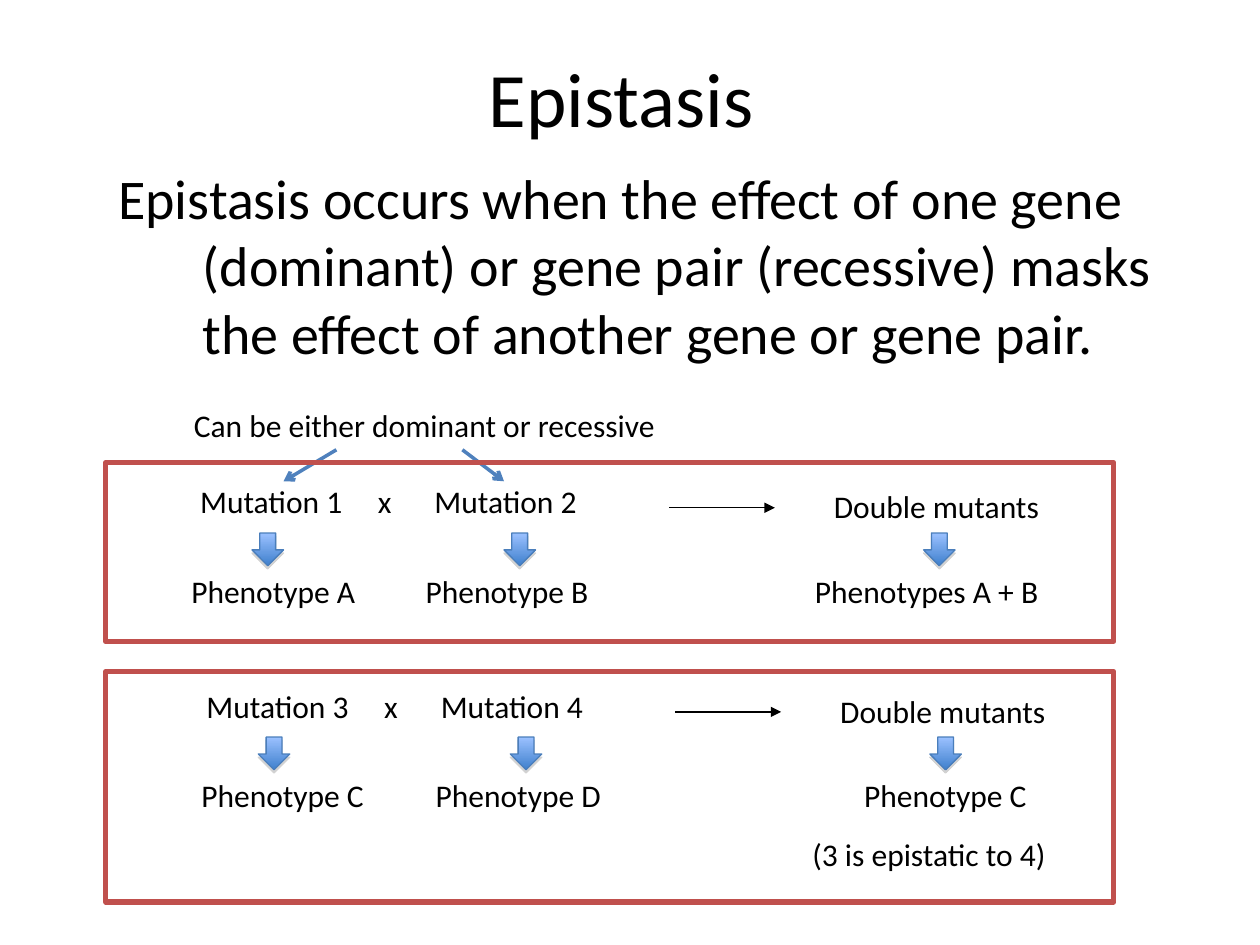
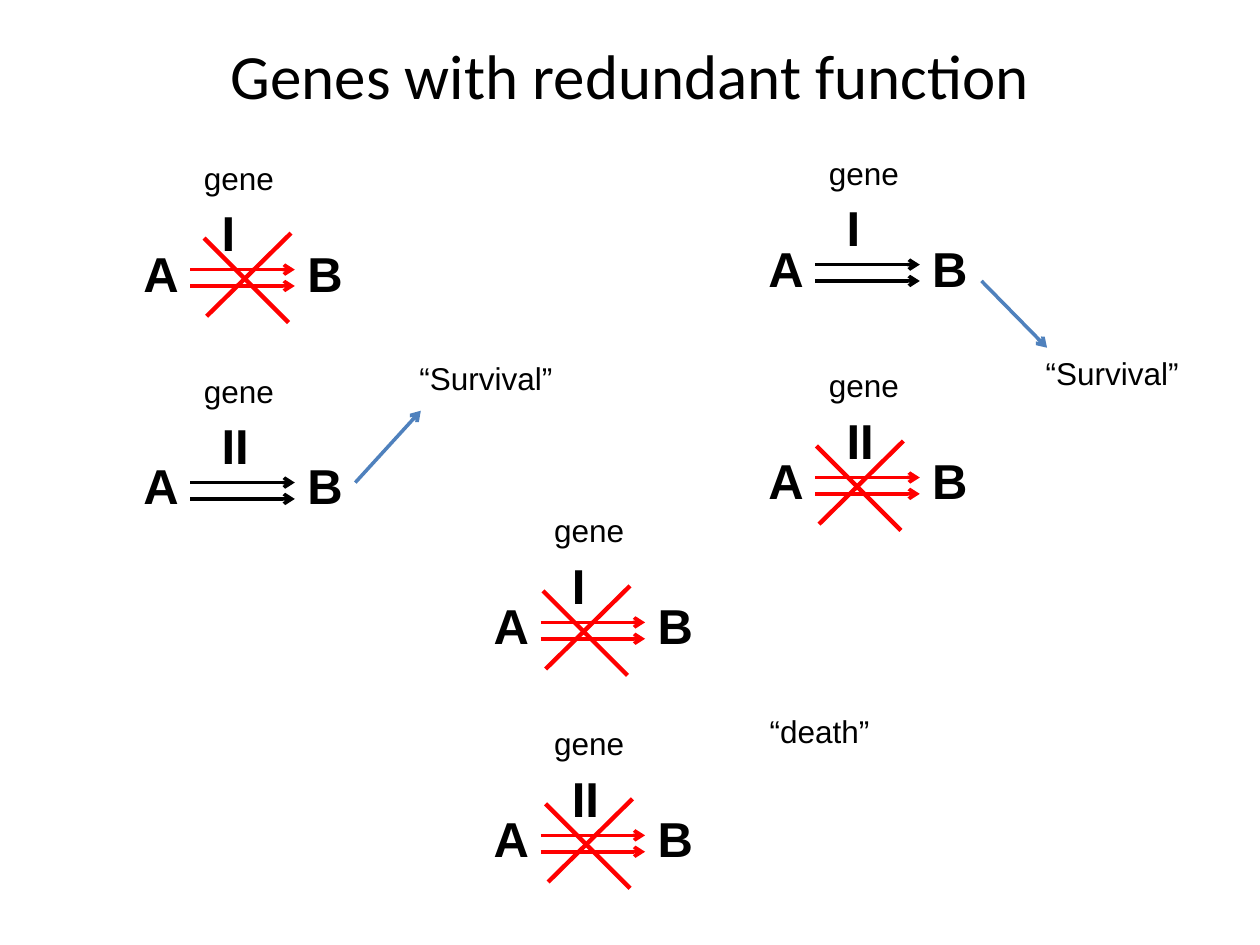
from lxml.etree import SubElement
from pptx import Presentation
from pptx.dml.color import RGBColor
from pptx.enum.shapes import MSO_CONNECTOR, MSO_SHAPE
from pptx.enum.text import MSO_ANCHOR, PP_ALIGN
from pptx.oxml.ns import qn
from pptx.util import Inches, Pt

COLS = 10
BLACK, RED, BLUE, BRICK = "000000", "FF0000", "4F81BD", "C0504D"
SANS, PLAIN = "Calibri", "Arial"


def tint(code):
    return RGBColor.from_string(code)


class Deck:
    """Hold the style, the grid of square cells and the current slide."""

    def __init__(self):
        self.show = Presentation()
        self.show.slide_width = Inches(10)
        self.show.slide_height = Inches(7.5)
        self.cell = self.show.slide_width / COLS

    def span(self, *cells):
        return [round(n * self.cell) for n in cells]

    def style(self, par, size, face, bold=False):
        font = par.font
        font.size, font.name, font.bold = Pt(size), face, bold
        font.color.rgb = tint(BLACK)

    def start(self, title, box, size):
        self.slide = self.show.slides.add_slide(self.show.slide_layouts[5])
        head = self.slide.shapes.title
        head.left, head.top, head.width, head.height = self.span(*box)
        frame = head.text_frame
        frame.text = title
        frame.vertical_anchor = MSO_ANCHOR.MIDDLE
        par = frame.paragraphs[0]
        par.alignment = PP_ALIGN.CENTER
        self.style(par, size, SANS)

    def text(self, words, x, y, wide, high=0.4, size=18, face=SANS,
             bold=False, tabs=(), hang=0):
        box = self.slide.shapes.add_textbox(*self.span(x, y, wide, high))
        frame = box.text_frame
        frame.word_wrap = True
        frame.margin_right = 0
        par = frame.paragraphs[0]
        par.text = words
        props = par._p.get_or_add_pPr()
        if hang:
            inset, = self.span(hang)
            props.set("marL", str(inset))
            props.set("indent", str(-inset))
        if tabs:
            stops = SubElement(props, qn("a:tabLst"))
            for pos in self.span(*tabs):
                SubElement(stops, qn("a:tab"), pos=str(pos), algn="l")
        self.style(par, size, face, bold)

    def line(self, x1, y1, x2, y2, color, width=2, tip=None):
        link = self.slide.shapes.add_connector(
            MSO_CONNECTOR.STRAIGHT, *self.span(x1, y1, x2, y2))
        link.line.color.rgb = tint(color)
        link.line.width = Pt(width)
        props = link.element.spPr
        if tip:
            SubElement(props.find(qn("a:ln")), qn("a:tailEnd"), type=tip)
        SubElement(props, qn("a:effectLst"))

    def shape(self, kind, box, color, width):
        form = self.slide.shapes.add_shape(kind, *self.span(*box))
        form.shadow.inherit = False
        form.line.color.rgb = tint(color)
        form.line.width = Pt(width)
        return form

    def frame(self, y, high):
        self.shape(MSO_SHAPE.RECTANGLE, (0.84, y, 8, high),
                   BRICK, 3).fill.background()

    def drop(self, x, y):
        form = self.shape(MSO_SHAPE.DOWN_ARROW, (x, y, 0.25, 0.26),
                          "4A7EBB", 0.75)
        form.fill.gradient()
        form.fill.gradient_angle = 270
        for stop, code in zip(form.fill.gradient_stops, ("9BC1FF", "3F80CD")):
            stop.color.rgb = tint(code)
        glow = SubElement(form.element.spPr.find(qn("a:effectLst")),
                          qn("a:outerShdw"), blurRad="0", dist=str(Pt(1.8)),
                          dir="5400000", rotWithShape="0")
        shade = SubElement(glow, qn("a:srgbClr"), val="808080")
        SubElement(shade, qn("a:alpha"), val="35000")

    def cross(self, dx, dy, pair, traits, result, left):
        """Draw a mating of two mutants, moved by dx and dy."""
        first, second = pair
        self.text(f"Mutation {first}\tx\tMutation {second}",
                  1.49 + dx, 3.78 + dy, 3.37, tabs=(1.41, 1.86))
        self.text("\t".join(f"Phenotype {name}" for name in traits),
                  1.42 + 1.6 * dx, 4.49 + dy, 3.36, tabs=(1.86,))
        self.text("Double mutants", 6.52 + dx, 3.82 + dy, 1.83)
        self.text(result, left, 4.49 + dy, 1.97)
        self.line(5.31 + dx, 4.03 + dy, 6.15 + dx, 4.03 + dy,
                  BLACK, 0.75, "triangle")
        for x in (2, 4, 7.33):
            self.drop(x + dx, 4.23 + dy)

    def gene(self, x, y, name, cut=None):
        """Draw a gene turning A into B, struck out when cut is a shift."""
        for words, dx, dy in (("A", 0, 0), ("B", 1.3, 0), (name, 0.62, -0.32)):
            self.text(words, x + dx, y + dy, 0.48, 0.57, 28, PLAIN, True)
        self.text("gene", x + 0.48, y - 0.67, 0.75, face=PLAIN)
        color = BLACK if cut is None else RED
        for dy in (0.26, 0.39):
            self.line(x + 0.47, y + dy, x + 1.3, y + dy, color, tip="arrow")
        if cut is not None:
            x += cut
            self.line(x, y + 0.01, x + 0.67, y + 0.68, RED, 2.5)
            self.line(x + 0.69, y - 0.03, x + 0.02, y + 0.63, RED, 2.5)


def main():
    deck = Deck()
    deck.start("Epistasis", (0.68, 0.28, 8.5, 0.97), 44)
    deck.text("Epistasis occurs when the effect of one gene (dominant) or gene "
              "pair (recessive) masks the effect of another gene or gene pair.",
              0.84, 1.25, 8.5, 2.42, size=32, hang=0.67)
    deck.text("Can be either dominant or recessive", 1.44, 3.17, 3.87)
    deck.cross(0, 0, "12", "AB", "Phenotypes A + B", 6.37)
    deck.cross(0.05, 1.62, "34", "CD", "Phenotype C", 6.76)
    deck.text("(3 is epistatic to 4)", 6.35, 6.58, 2.06)
    for x, end in ((2.67, 2.25), (3.67, 4)):
        deck.line(x, 3.57, end, 3.82, BLUE, tip="arrow")
    deck.frame(3.67, 1.42)
    deck.frame(5.33, 1.83)

    deck.start("Genes with redundant function", (0.5, 0.16, 9, 0.86), 36)
    for x, y, cuts in ((1.04, 1.88, (0.58, None)), (6, 1.84, (None, 0.48)),
                       (3.82, 4.68, (0.49, 0.51))):
        for row, cut in enumerate(cuts):
            deck.gene(x, y + 1.69 * row, "I" * (row + 1), cut)
    deck.line(2.82, 3.83, 3.34, 3.26, BLUE, tip="arrow")
    deck.line(7.79, 2.23, 8.31, 2.76, BLUE, tip="arrow")
    for words, x, y, wide in (("“Survival”", 3.23, 2.8, 1.25),
                              ("“Survival”", 8.2, 2.76, 1.25),
                              ("“death”", 6.01, 5.6, 0.99)):
        deck.text(words, x, y, wide, face=PLAIN)
    deck.show.save("out.pptx")


if __name__ == "__main__":
    main()
